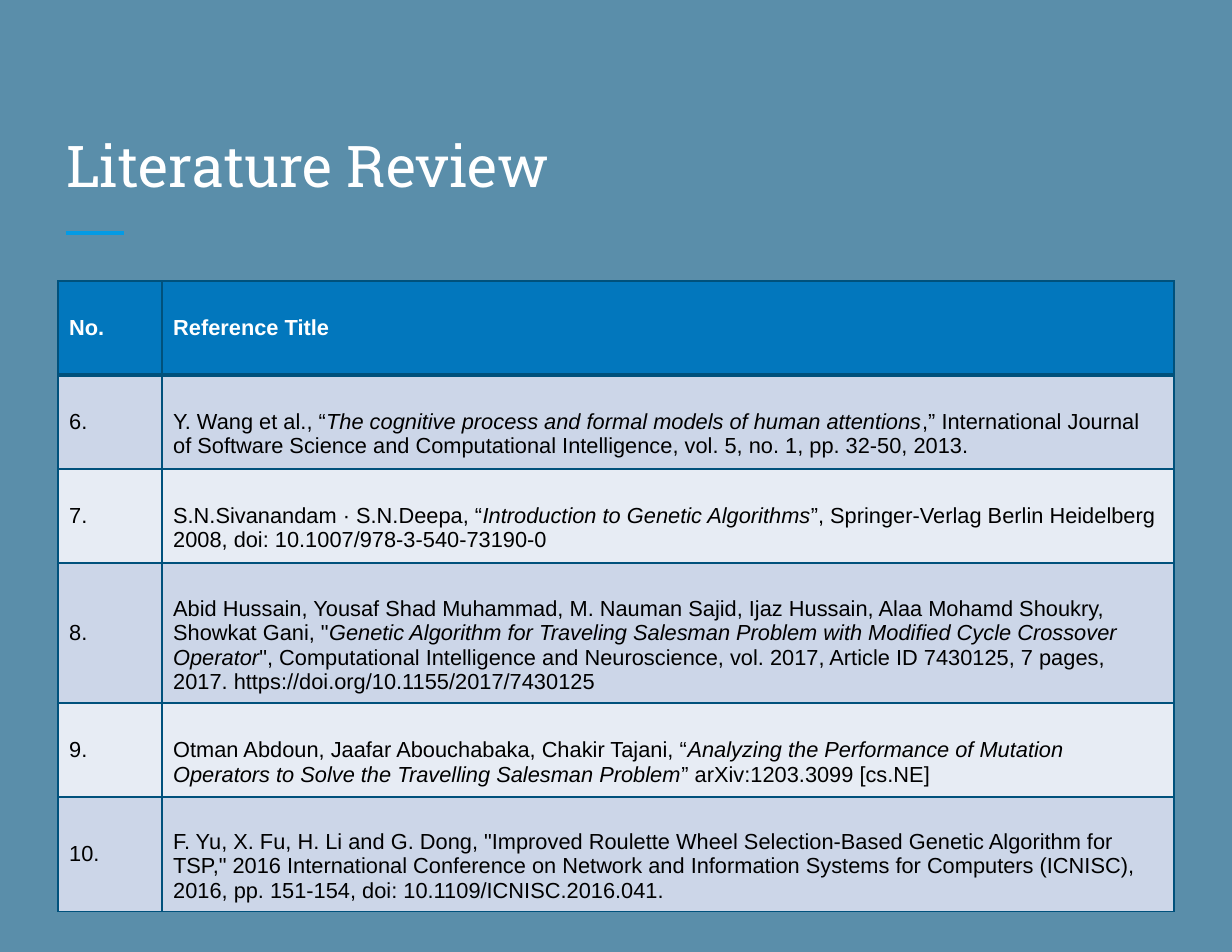
import pptx
import pptx.util
import pptx.dml.color
import pptx.enum.shapes
import pptx.enum.text
import pptx.oxml.ns
from lxml import etree

RGB = pptx.dml.color.RGBColor
BACKGROUND = RGB(0x5A, 0x8E, 0xAA)
ACCENT = RGB(0x03, 0x9B, 0xE5)
HEADER = RGB(0x02, 0x77, 0xBD)
BAND_DARK = RGB(0xCC, 0xD6, 0xE8)
BAND_LIGHT = RGB(0xE7, 0xEC, 0xF4)
BORDER = RGB(0x00, 0x51, 0x7C)
WHITE = RGB(0xFF, 0xFF, 0xFF)
BLACK = RGB(0x00, 0x00, 0x00)

COLUMNS = [104, 1012]
ROW_HEIGHTS = [94, 94, 94, 133, 94, 109]
FIRST_NUMBER = 6

# Each reference: text before the italic title, the title, text after it
REFERENCES = [
    ("Y. Wang et al., “",
     "The cognitive process and formal models of human attentions",
     ",” International Journal of Software Science and Computational "
     "Intelligence, vol. 5, no. 1, pp. 32-50, 2013."),
    ("S.N.Sivanandam · S.N.Deepa, “",
     "Introduction to Genetic Algorithms",
     "”, Springer-Verlag Berlin Heidelberg 2008, "
     "doi: 10.1007/978-3-540-73190-0"),
    ("Abid Hussain, Yousaf Shad Muhammad, M. Nauman Sajid, Ijaz Hussain, "
     "Alaa Mohamd Shoukry, Showkat Gani, \"",
     "Genetic Algorithm for Traveling Salesman Problem with Modified Cycle "
     "Crossover Operator",
     "\", Computational Intelligence and Neuroscience, vol. 2017, Article ID "
     "7430125, 7 pages, 2017. https://doi.org/10.1155/2017/7430125"),
    ("Otman Abdoun, Jaafar Abouchabaka, Chakir Tajani, “",
     "Analyzing the Performance of Mutation Operators to Solve the "
     "Travelling Salesman Problem",
     "” arXiv:1203.3099 [cs.NE]"),
    ("F. Yu, X. Fu, H. Li and G. Dong, \"Improved Roulette Wheel "
     "Selection-Based Genetic Algorithm for TSP,\" 2016 International "
     "Conference on Network and Information Systems for Computers (ICNISC), "
     "2016, pp. 151-154, doi: 10.1109/ICNISC.2016.041.",),
]


def px(n):
    return pptx.util.Emu(n * 914400 // 112)


def style_run(r, font, size, color, bold=False, italic=False):
    r.font.name = font
    r.font.size = pptx.util.Pt(size)
    r.font.color.rgb = color
    r.font.bold = bold
    r.font.italic = italic


def add_title(slide, text):
    sp = slide.shapes.add_textbox(px(53), px(85), px(1128), px(127))
    tf = sp.text_frame
    tf.word_wrap = True
    tf.vertical_anchor = pptx.enum.text.MSO_ANCHOR.BOTTOM
    tf.margin_left = tf.margin_right = px(13)
    tf.margin_top = tf.margin_bottom = px(13)
    tf.text = text
    style_run(tf.paragraphs[0].runs[0], "Roboto Slab", 37, WHITE)


def add_accent_line(slide):
    line = slide.shapes.add_connector(
        pptx.enum.shapes.MSO_CONNECTOR.STRAIGHT,
        px(66), px(233), px(124), px(233))
    line.line.color.rgb = ACCENT
    line.line.width = pptx.util.Pt(3)
    etree.SubElement(line._element.spPr, pptx.oxml.ns.qn("a:effectLst"))


def set_borders(cell, bottom=1, top=1):
    qn = pptx.oxml.ns.qn
    tc_pr = cell._tc.get_or_add_tcPr()
    widths = {"a:lnL": 1, "a:lnR": 1, "a:lnT": top, "a:lnB": bottom}
    # Borders come before the fill in the cell properties
    for i, (tag, width) in enumerate(widths.items()):
        ln = etree.Element(qn(tag), w=str(pptx.util.Pt(width)))
        fill = etree.SubElement(ln, qn("a:solidFill"))
        etree.SubElement(fill, qn("a:srgbClr"), val=str(BORDER))
        tc_pr.insert(i, ln)


def fill_cell(cell, parts, fill, color, bold=False):
    cell.fill.solid()
    cell.fill.fore_color.rgb = fill
    cell.vertical_anchor = pptx.enum.text.MSO_ANCHOR.MIDDLE
    p = cell.text_frame.paragraphs[0]
    for i, part in enumerate(parts):
        r = p.add_run()
        r.text = part
        style_run(r, "Arial", 14, color, bold, italic=i == 1)


def add_reference_table(slide):
    table = slide.shapes.add_table(
        len(ROW_HEIGHTS), len(COLUMNS), px(58), px(281),
        px(sum(COLUMNS)), px(sum(ROW_HEIGHTS))).table
    table.horz_banding = False
    for column, width in zip(table.columns, COLUMNS):
        column.width = px(width)
    for row, height in zip(table.rows, ROW_HEIGHTS):
        row.height = px(height)

    # Header row
    for col, label in enumerate(["No.", "Reference Title"]):
        cell = table.cell(0, col)
        fill_cell(cell, [label], HEADER, WHITE, bold=True)
        set_borders(cell, bottom=3)

    # Banded reference rows
    for row, parts in enumerate(REFERENCES, start=1):
        band = BAND_DARK if row % 2 else BAND_LIGHT
        number = f"{FIRST_NUMBER + row - 1}."
        for col, content in enumerate([[number], parts]):
            cell = table.cell(row, col)
            fill_cell(cell, content, band, BLACK)
            set_borders(cell, top=3 if row == 1 else 1)
        # References sit one line lower than the row centre
        table.cell(row, 1).margin_top = px(30)


def main():
    prs = pptx.Presentation()
    prs.slide_width, prs.slide_height = px(1232), px(952)
    slide = prs.slides.add_slide(prs.slide_layouts[6])
    slide.background.fill.solid()
    slide.background.fill.fore_color.rgb = BACKGROUND
    add_accent_line(slide)
    add_title(slide, "Literature Review")
    add_reference_table(slide)
    prs.save("out.pptx")


if __name__ == "__main__":
    main()
